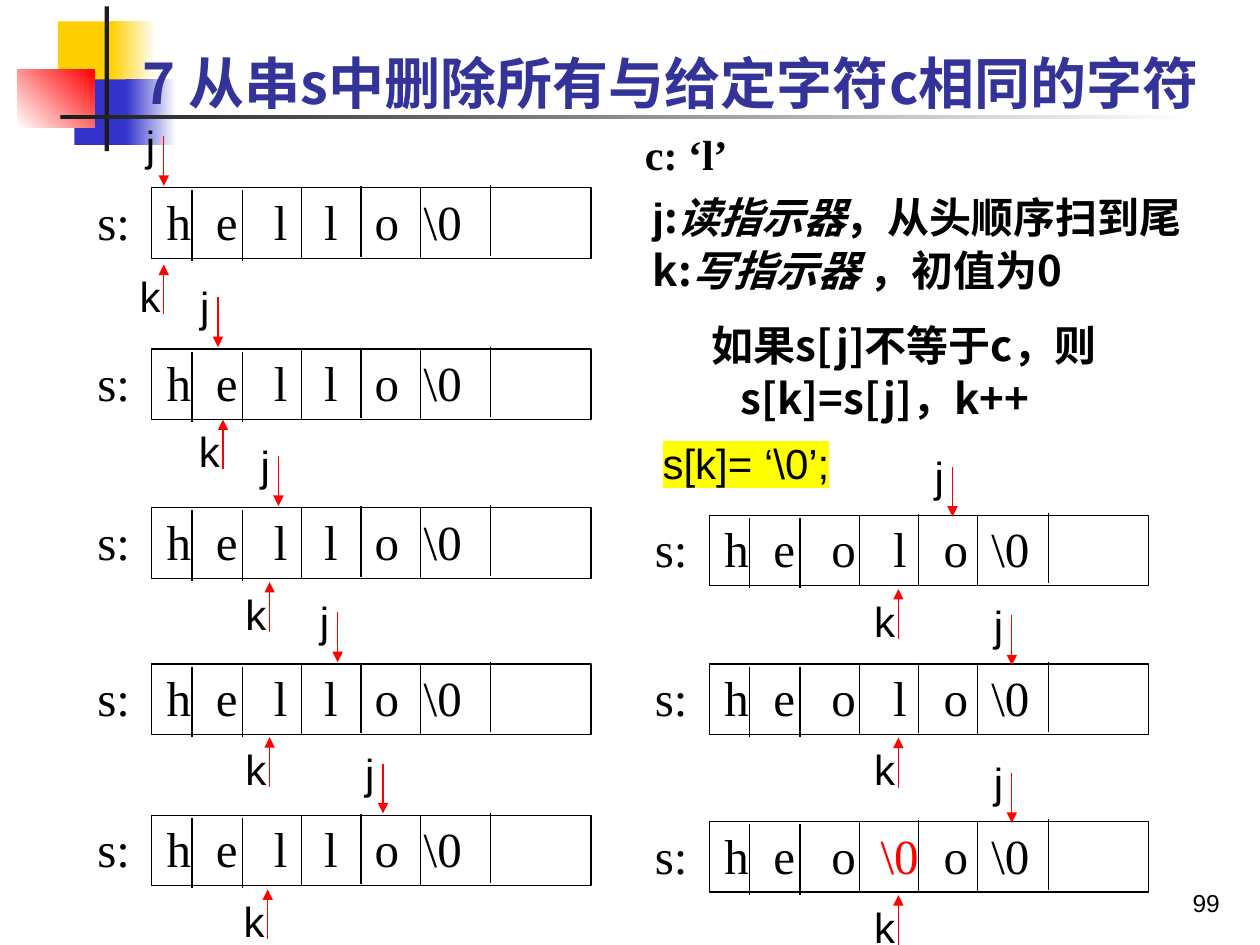
from pptx import Presentation
from pptx.dml.color import RGBColor
from pptx.enum.shapes import MSO_CONNECTOR, MSO_SHAPE
from pptx.enum.text import MSO_ANCHOR, MSO_AUTO_SIZE, PP_ALIGN
from pptx.oxml.ns import qn
from pptx.util import Inches, Pt
from lxml.etree import SubElement

WIDTH, HEIGHT = Inches(10), Inches(7.5)
COL, ROW = WIDTH / 100, HEIGHT / 75
CJK = "Noto Sans CJK SC"
LABEL = dict(name="Arial", size=Pt(24), color="000000")
CELL = dict(name="Times New Roman", size=Pt(28), color="000000")
NOTE = dict(name=CJK, size=Pt(24), color="000000", bold=True)
DIVIDERS = [(3.2, 0.2), (7.2, 0.2), (11.9, 0), (16.6, -0.1), (21.3, 0), (26.9, -0.2)]
CELL_H = 5.6
LEFT_TABS = [4.8, 10.3, 14.2, 18.8, 22.8, 26.8, 30.7]
RIGHT_TABS = [4.8, 10.3, 14.2, 18.8, 23.7, 27.7, 31.5]
END_TABS = [4.8, 10.3, 14.2, 18.8, 22.7, 27.7, 31.5]


def rgb(value):
    return RGBColor.from_string(value)


def grid(x, y, w, h):
    return round(x * COL), round(y * ROW), round(w * COL), round(h * ROW)


def set_all(obj, values):
    for key, value in values.items():
        setattr(obj, key, value)


def format_run(r, fmt):
    values = dict(fmt)
    color, mark = values.pop("color"), values.pop("mark", None)
    set_all(r.font, values)
    r.font.color.rgb = rgb(color)
    rpr = r.font.fill._xPr
    SubElement(rpr, qn("a:ea"), typeface=values["name"])
    if mark:
        highlight = SubElement(rpr, qn("a:highlight"))
        SubElement(highlight, qn("a:srgbClr"), val=mark)
        rpr.find(qn("a:latin")).addprevious(highlight)


def fill_paragraph(p, runs, fmt):
    for text, changes in runs:
        r = p.add_run()
        r.text = text
        format_run(r, {**fmt, **changes})


def add_text(s, box, paragraphs, fmt, wrap=True, gap=0, anchor=MSO_ANCHOR.TOP):
    tf = s.shapes.add_textbox(*grid(*box)).text_frame
    set_all(tf, dict(word_wrap=wrap, auto_size=MSO_AUTO_SIZE.NONE, vertical_anchor=anchor))
    for i, runs in enumerate(paragraphs):
        p = tf.add_paragraph() if i else tf.paragraphs[0]
        if i and gap:
            p.space_before = Pt(gap)
        fill_paragraph(p, runs, fmt)
    return tf


def add_tabs(p, stops):
    tabs = SubElement(p._p.get_or_add_pPr(), qn("a:tabLst"))
    for stop in stops:
        SubElement(tabs, qn("a:tab"), pos=str(round(stop * COL)), algn="l")


def add_block(s, box, colors, angle=0):
    sp = s.shapes.add_shape(MSO_SHAPE.RECTANGLE, *grid(*box))
    sp.shadow.inherit = False
    sp.line.fill.background()
    if len(colors) == 1:
        sp.fill.solid()
        sp.fill.fore_color.rgb = rgb(colors[0])
        return
    sp.fill.gradient()
    sp.fill.gradient_angle = angle
    for stop, color in zip(sp.fill.gradient_stops, colors):
        stop.color.rgb = rgb(color)


def add_line(s, x, y1, y2, color="000000", arrow=False):
    left, top, _, bottom = grid(x, y1, 0, y2)
    line = s.shapes.add_connector(MSO_CONNECTOR.STRAIGHT, left, top, left, bottom)
    line.line.width = Pt(0.75)
    line.line.color.rgb = rgb(color)
    SubElement(line._element.spPr, qn("a:effectLst"))
    if arrow:
        SubElement(line.line._get_or_add_ln(), qn("a:tailEnd"), type="triangle")


def add_pointer(s, name, x, start, tip, label_box):
    add_line(s, x, start, tip, "FF0000", arrow=True)
    add_text(s, label_box, [[(name, {})]], LABEL, wrap=False)


def add_array(s, x, y, runs, tabs, j, j_tip, k, k_tip):
    sp = s.shapes.add_shape(MSO_SHAPE.RECTANGLE, *grid(x, y, 34.85, CELL_H))
    sp.shadow.inherit = False
    sp.fill.background()
    sp.line.width = Pt(0.75)
    sp.line.color.rgb = rgb("000000")
    for dx, dy in DIVIDERS:
        add_line(s, x + dx, y + dy, y + dy + CELL_H)
    tf = add_text(s, (x - 10.1, y - 0.2, 53.4, 5.7), [[]], CELL)
    add_tabs(tf.paragraphs[0], tabs)
    fill_paragraph(tf.paragraphs[0], runs, CELL)
    j_start = y + j_tip - 3.95
    add_pointer(s, "j", j, j_start, y + j_tip, (j - 2.4, j_start - 1.8, 2.7, 5))
    tip = y + k_tip
    add_pointer(s, "k", k, tip + 3.95, tip, (k - 2.9, tip, 3.7, 5))


def add_title(s, text):
    title = s.shapes.title
    left, top, width, height = grid(6.3, 2.9, 92.9, 6.3)
    set_all(title, dict(left=left, top=top, width=width, height=height))
    tf = title.text_frame
    set_all(tf, dict(word_wrap=True, auto_size=MSO_AUTO_SIZE.NONE,
                     vertical_anchor=MSO_ANCHOR.BOTTOM, margin_left=0,
                     margin_right=0, margin_top=0, margin_bottom=0))
    p = tf.paragraphs[0]
    p.alignment = PP_ALIGN.CENTER
    fill_paragraph(p, [(text, {})], dict(name=CJK, size=Pt(32), color="333399", bold=True))
    title._element.getparent().append(title._element)


def add_decoration(s):
    add_block(s, (4.6, 1.7, 4.8, 5.2), ["FFCF01"])
    add_block(s, (8.8, 1.7, 3.6, 5.2), ["FFCF01", "FFFFFF"])
    add_block(s, (5.9, 6.3, 4.6, 5.2), ["3333CC"])
    add_block(s, (10, 6.3, 4, 5.2), ["3333CC", "FFFFFF"])
    add_block(s, (1.4, 5.5, 6.1, 4.6), ["FFFFFF", "FF0000"], 45)
    add_block(s, (8.3, 0.5, 0.35, 11.5), ["1C1C1C"])
    add_block(s, (4.8, 9.1, 90, 0.35), ["1C1C1C", "FFFFFF"])


def add_notes(s):
    add_text(s, (50.2, 9.7, 10.8, 5), [[("c: ‘l’", {})]], {**NOTE, "name": "Times New Roman"})
    add_text(s, (50.8, 14.7, 47, 10.3), [
        [("j", {"name": "Arial"}), (":", {}), ("读指示器", {"italic": True}), ("，从头顺序扫到尾", {})],
        [("k:", {}), ("写指示器", {"italic": True}), (" ，初值为0", {})],
    ], NOTE, gap=1.5)
    tf = add_text(s, (55.5, 24.9, 39.9, 10.3),
                  [[("如果s[j]不等于c，则", {})], [("s[k]=s[j]，k++", {})]], NOTE, gap=1.5)
    tf.paragraphs[1]._p.get_or_add_pPr().set("marL", str(round(2.3 * COL)))
    add_text(s, (51.6, 34.2, 17.8, 5), [[("s[k]= ‘\\0’;", {})]], {**LABEL, "mark": "FFFF00"})


def add_arrays(s):
    hello = [("\ts:\th\te\tl\tl\to\t\\0", {})]
    for y, j, k, k_tip in [(14.9, 13, 13, 6.1), (27.7, 17.3, 17.7, 5.6), (40.3, 22.1, 21.4, 5.9),
                           (52.7, 26.8, 21.4, 5.8), (64.7, 30.4, 21.25, 5.9)]:
        add_array(s, 12.05, y, hello, LEFT_TABS, j, -0.15, k, k_tip)
    heolo = [("\ts:\th\te\to\tl\to\t\\0", {})]
    ended = [("\ts:\th\te\to\t", {}), ("\\0", {"color": "FF0000"}), ("\to\t\\0", {})]
    for y, j, runs, tabs in [(40.9, 75.6, heolo, RIGHT_TABS), (52.7, 80.3, heolo, RIGHT_TABS),
                             (65.2, 80.3, ended, END_TABS)]:
        add_array(s, 56.3, y, runs, tabs, j, 0.1, 71.3, 5.85)


def main():
    prs = Presentation()
    set_all(prs, dict(slide_width=WIDTH, slide_height=HEIGHT))
    s = prs.slides.add_slide(prs.slide_layouts[5])
    add_decoration(s)
    add_title(s, " 7 从串s中删除所有与给定字符c相同的字符")
    add_notes(s)
    add_arrays(s)
    number = add_text(s, (77, 68.3, 20.8, 5), [[("99", {})]], {**LABEL, "size": Pt(14)},
                      anchor=MSO_ANCHOR.BOTTOM)
    number.paragraphs[0].alignment = PP_ALIGN.RIGHT
    prs.save("out.pptx")


if __name__ == "__main__":
    main()
